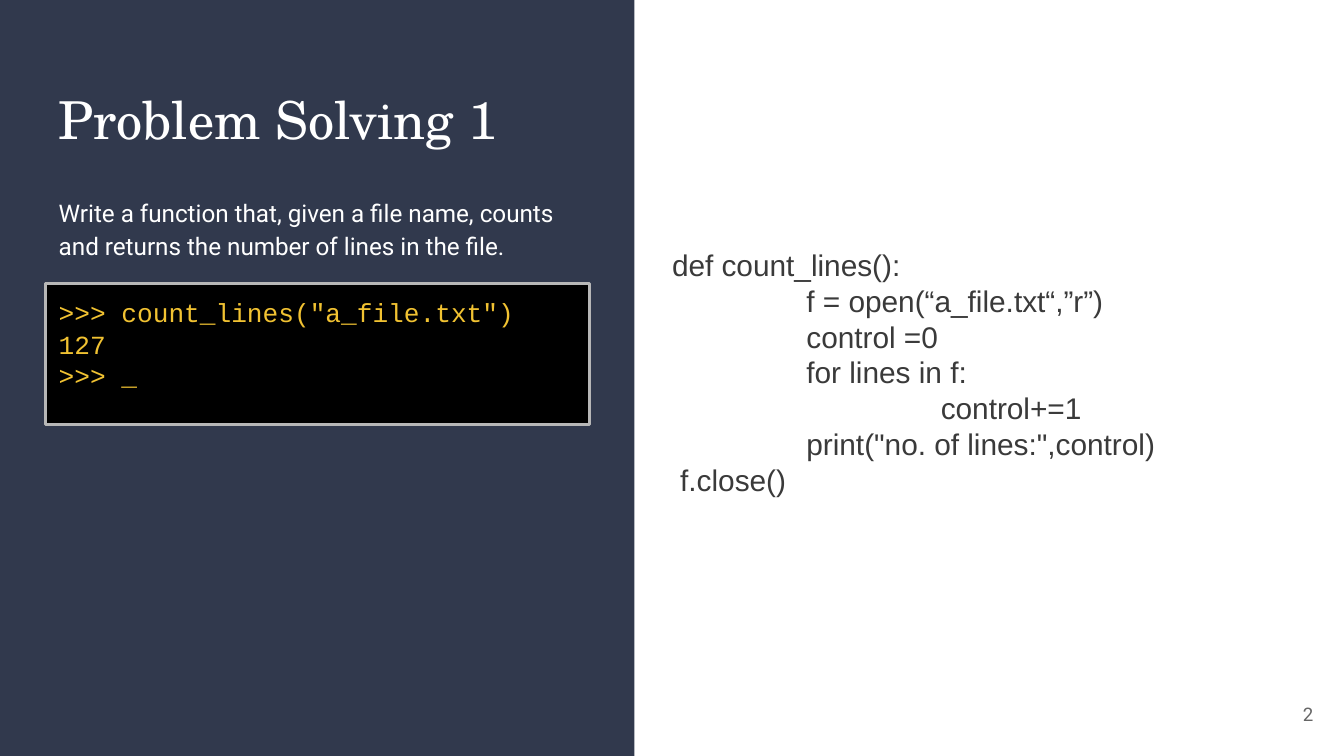
from pptx import Presentation
from pptx.dml.color import RGBColor
from pptx.enum.shapes import MSO_SHAPE
from pptx.enum.text import MSO_ANCHOR, MSO_AUTO_SIZE, PP_ALIGN
from pptx.oxml.xmlchemy import OxmlElement
from pptx.util import Cm, Pt

SLIDE_WIDTH, SLIDE_HEIGHT = 25.4, 14.29
PANEL_WIDTH = 11.99
COLUMN_LEFT, COLUMN_WIDTH = 0.86, 10.29
INDENT_STEP = 2.54


def color(hex_value):
    return RGBColor.from_string(hex_value)


def place(shape, box):
    shape.left, shape.top, shape.width, shape.height = (Cm(length) for length in box)


def fill_solid(shape, hex_value):
    shape.fill.solid()
    shape.fill.fore_color.rgb = color(hex_value)


def set_indent(paragraph, level):
    properties = paragraph._p.get_or_add_pPr()
    properties.set("marL", str(Cm(level * INDENT_STEP)))
    properties.set("indent", "0")
    properties.append(OxmlElement("a:buNone"))


def write_text(shape, text, font, size, hex_value, anchor=MSO_ANCHOR.TOP,
               align=PP_ALIGN.LEFT, spacing=1.0, inset=0.25):
    text_frame = shape.text_frame
    text_frame.text = text
    text_frame.word_wrap = True
    text_frame.auto_size = MSO_AUTO_SIZE.NONE
    text_frame.vertical_anchor = anchor
    text_frame.margin_left = text_frame.margin_right = Cm(inset)
    text_frame.margin_top = text_frame.margin_bottom = Cm(inset)
    for paragraph in text_frame.paragraphs:
        paragraph.alignment = align
        paragraph.line_spacing = spacing
        paragraph.space_before = paragraph.space_after = Pt(0)
        set_indent(paragraph, 0)
        for run in paragraph.runs:
            run.font.name = font
            run.font.size = Pt(size)
            run.font.color.rgb = color(hex_value)
    return text_frame


def add_panel(slide, box):
    panel = slide.shapes.add_shape(MSO_SHAPE.RECTANGLE, *(Cm(length) for length in box))
    panel.shadow.inherit = False
    fill_solid(panel, "31394D")
    panel.line.fill.background()
    panel.element.getparent().insert(2, panel.element)


def add_heading(slide, box):
    title = slide.shapes.title
    place(title, box)
    write_text(title, "Problem Solving 1", "TeX Gyre Schola", 28, "FFFFFF")


def add_task(slide, box):
    task = slide.placeholders[1]
    place(task, box)
    write_text(task, "Write a function that, given a file name, counts and returns "
               "the number of lines in the file.", "Roboto", 13, "FFFFFF",
               anchor=MSO_ANCHOR.MIDDLE, spacing=1.15)


def add_console(slide, box):
    console = slide.shapes.add_shape(MSO_SHAPE.RECTANGLE, *(Cm(length) for length in box))
    console.shadow.inherit = False
    fill_solid(console, "000000")
    console.line.color.rgb = color("B7B7B7")
    console.line.width = Pt(1.5)
    lines = ['>>> count_lines("a_file.txt")', "127", ">>> _"]
    write_text(console, "\n".join(lines), "Courier New", 14, "F1C232")


def add_solution(slide, box):
    lines = [
        (0, "def count_lines():"),
        (1, "f = open(“a_file.txt“,”r”)"),
        (1, "control =0"),
        (1, "for lines in f:"),
        (2, "control+=1"),
        (1, 'print("no. of lines:",control)'),
        (0, " f.close()"),
    ]
    solution = slide.placeholders[2]
    place(solution, box)
    fill_solid(solution, "FFFFFF")
    text_frame = write_text(solution, "\n".join(text for _, text in lines), "Arial", 16,
                            "3A3A3A", anchor=MSO_ANCHOR.MIDDLE, inset=0)
    text_frame.margin_top = Cm(0.68)
    for paragraph, (level, _) in zip(text_frame.paragraphs, lines):
        paragraph._p.get_or_add_pPr().set("marL", str(Cm(level * INDENT_STEP)))


def add_page_number(slide, box):
    number = slide.shapes.add_textbox(*(Cm(length) for length in box))
    write_text(number, "2", "Roboto", 10, "666666",
               anchor=MSO_ANCHOR.MIDDLE, align=PP_ALIGN.RIGHT)


def main():
    presentation = Presentation()
    presentation.slide_width = Cm(SLIDE_WIDTH)
    presentation.slide_height = Cm(SLIDE_HEIGHT)
    slide = presentation.slides.add_slide(presentation.slide_layouts[3])
    add_panel(slide, (0, 0, PANEL_WIDTH, SLIDE_HEIGHT))
    add_heading(slide, (COLUMN_LEFT, 1.4, COLUMN_WIDTH, 1.78))
    add_task(slide, (COLUMN_LEFT, 3.35, COLUMN_WIDTH, 1.88))
    add_console(slide, (COLUMN_LEFT, 5.36, COLUMN_WIDTH, 2.67))
    add_solution(slide, (12.7, 3.96, 10.85, 5.46))
    add_page_number(slide, (23.55, 12.95, 1.52, 1.09))
    presentation.save("out.pptx")


if __name__ == "__main__":
    main()
